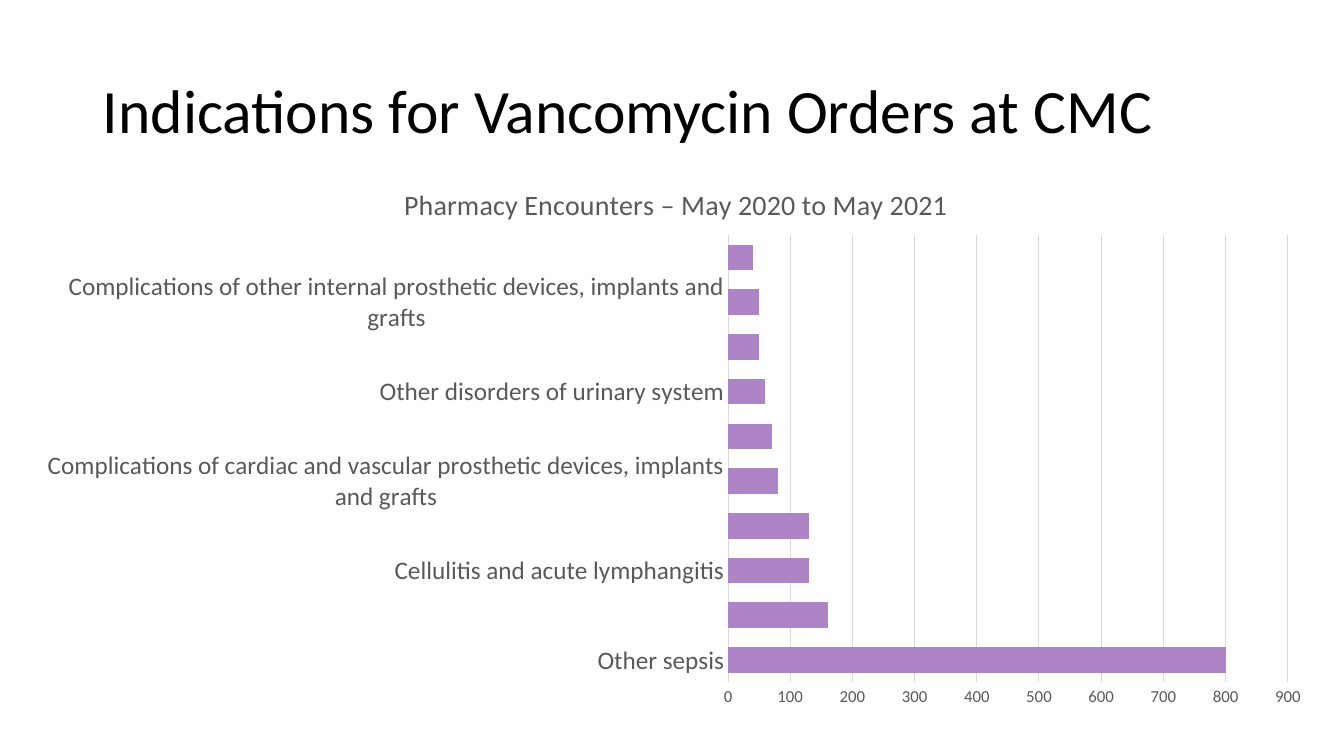
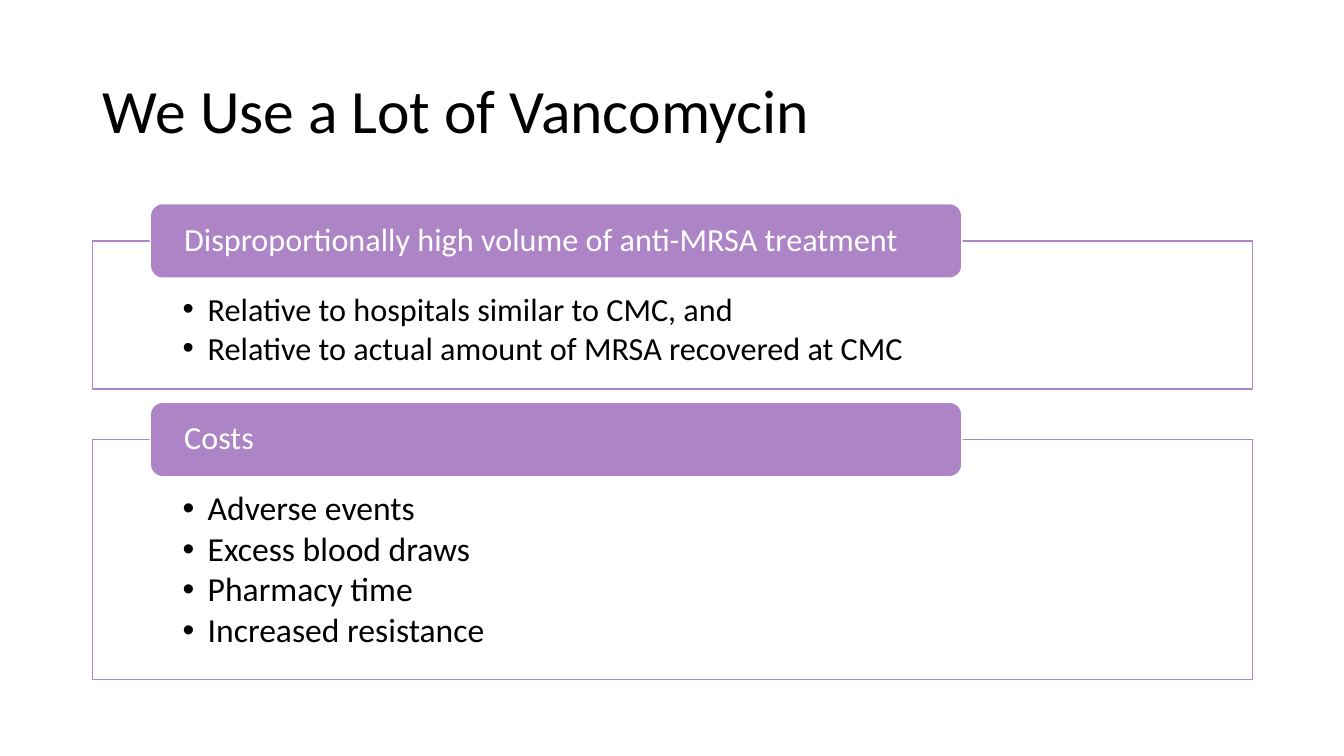
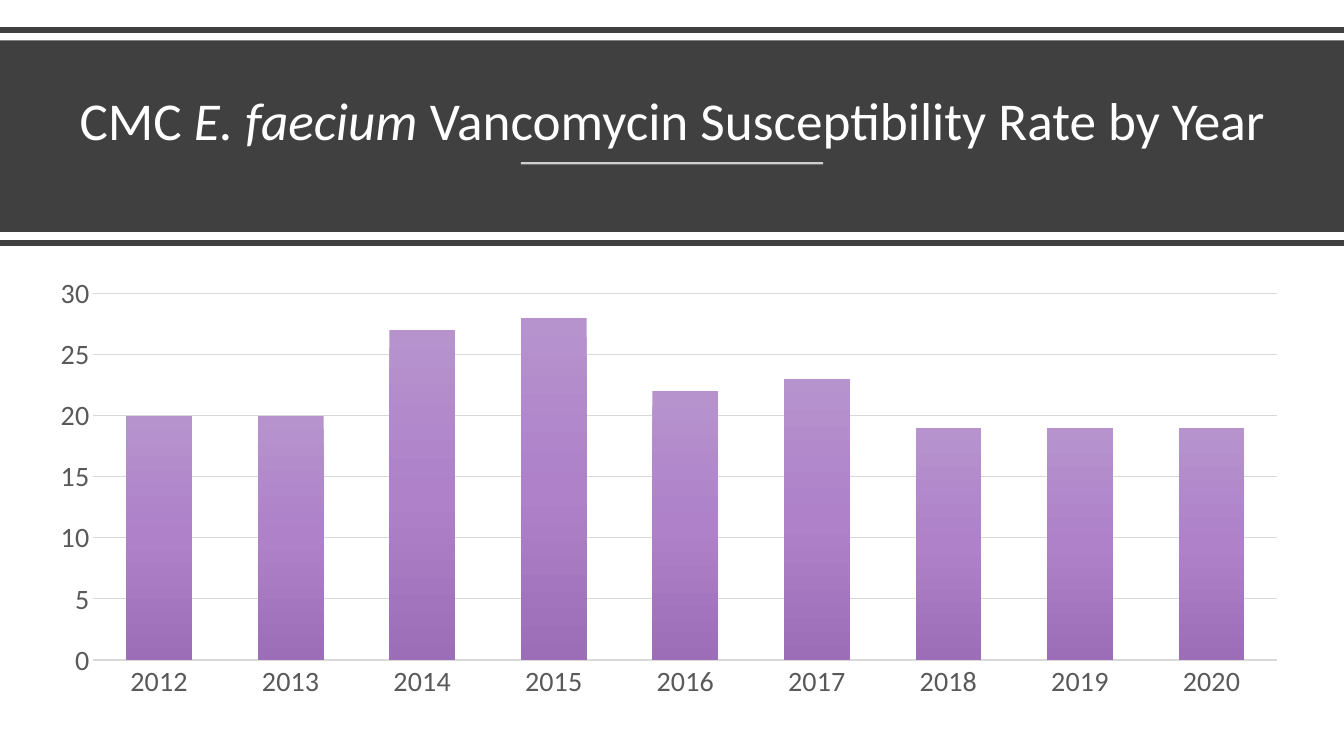
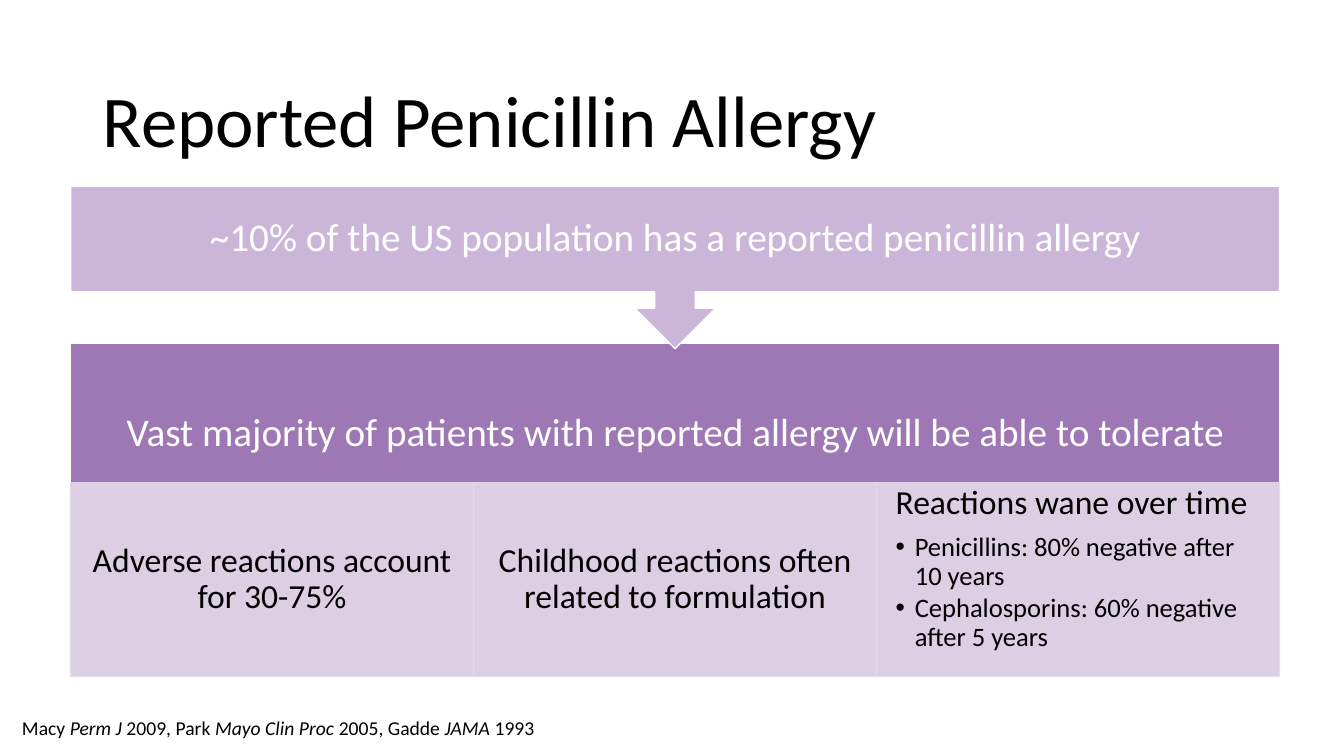
from dataclasses import dataclass

from lxml import etree
from pptx import Presentation
from pptx.chart.data import CategoryChartData
from pptx.dml.color import RGBColor
from pptx.enum.chart import XL_CHART_TYPE, XL_TICK_MARK
from pptx.enum.shapes import MSO_CONNECTOR, MSO_SHAPE
from pptx.enum.text import MSO_ANCHOR, MSO_AUTO_SIZE, PP_ALIGN
from pptx.oxml import parse_xml
from pptx.oxml.ns import nsdecls, qn
from pptx.util import Inches, Pt

LEFT, CENTER = PP_ALIGN.LEFT, PP_ALIGN.CENTER
TOP, MIDDLE, BOTTOM = MSO_ANCHOR.TOP, MSO_ANCHOR.MIDDLE, MSO_ANCHOR.BOTTOM
NO_FIT = MSO_AUTO_SIZE.NONE
RECT, ROUNDED = MSO_SHAPE.RECTANGLE, MSO_SHAPE.ROUNDED_RECTANGLE
CALLOUT = MSO_SHAPE.DOWN_ARROW_CALLOUT
STRAIGHT = MSO_CONNECTOR.STRAIGHT
BARS, COLUMNS = XL_CHART_TYPE.BAR_STACKED, XL_CHART_TYPE.COLUMN_CLUSTERED
NO_TICK = XL_TICK_MARK.NONE
TWO_CONTENT, TITLE_ONLY = 3, 5


@dataclass(frozen=True)
class Theme:
    font: str = "Calibri"
    black: str = "000000"
    white: str = "FFFFFF"
    accent: str = "AD84C6"
    deep: str = "9D78B4"
    soft: str = "CBB6DA"
    pale: str = "E3D9EA"
    band: str = "404040"
    grid: str = "D9D9D9"
    label: str = "595959"
    gradient: tuple = ((0, "B693CD"), (50, "AE81C9"), (100, "9B6EB7"))
    title: int = 44
    band_title: int = 38
    large_title: int = 52
    statement: int = 28
    body: int = 24
    header: int = 23
    detail: int = 19
    axis: int = 20
    chart_title: int = 20
    category: int = 18
    tick: int = 12
    chart: int = 10
    source: int = 14
    line_spacing: float = 0.9


THEME = Theme()
TITLE_BOX = (0.92, 0.4, 11.5, 1.45)


def apply(target, **values):
    for name, value in values.items():
        setattr(target, name, value)


def place(shape, box):
    apply(shape, **dict(zip(("left", "top", "width", "height"), map(Inches, box))))


def style_font(font, size, color):
    apply(font, name=THEME.font, size=Pt(size), bold=False)
    font.color.rgb = RGBColor.from_string(color)


def style_line(line, color, width):
    line.color.rgb = RGBColor.from_string(color)
    line.width = Pt(width)


def style_box(shape, fill, line=None, width=1):
    shape.fill.solid()
    shape.fill.fore_color.rgb = RGBColor.from_string(fill)
    if line:
        style_line(shape.line, line, width)
    else:
        shape.line.fill.background()


def set_opacity(shape, percent):
    for color in shape.element.spPr.iter(qn("a:srgbClr")):
        etree.SubElement(color, qn("a:alpha"), val=str(percent * 1000))


def set_frame(frame, insets=(0.1, 0.05, 0.1, 0.05), anchor=MIDDLE):
    apply(frame, word_wrap=True, auto_size=NO_FIT, vertical_anchor=anchor)
    names = ("margin_left", "margin_top", "margin_right", "margin_bottom")
    apply(frame, **dict(zip(names, map(Inches, insets))))


def write(paragraph, text, size, color=THEME.black, align=LEFT, after=0, bullet=0,
          spacing=THEME.line_spacing):
    if bullet:
        properties = paragraph._p.get_or_add_pPr()
        properties.set("marL", str(Inches(bullet)))
        properties.set("indent", str(-Inches(bullet)))
        etree.SubElement(properties, qn("a:buFont"), typeface="Arial")
        etree.SubElement(properties, qn("a:buChar"), char="•")
    apply(paragraph, alignment=align, line_spacing=spacing,
          space_before=Pt(0), space_after=Pt(after))
    for position, part in enumerate(text.split("|")):
        run = paragraph.add_run()
        run.text = part
        style_font(run.font, size, color)
        if position % 2:
            run.font.italic = True


def write_list(frame, items, size, bullet):
    for position, item in enumerate(items):
        paragraph = frame.add_paragraph() if position or frame.text else frame.paragraphs[0]
        write(paragraph, item, size, after=3, bullet=bullet)


def add_box(slide, kind, box, fill, line=None):
    shape = slide.shapes.add_shape(kind, *map(Inches, box))
    shape.shadow.inherit = False
    style_box(shape, fill, line)
    return shape


def add_text_box(slide, kind, box, fill, line, text, size, color, insets, align=CENTER):
    shape = add_box(slide, kind, box, fill, line)
    set_frame(shape.text_frame, insets)
    write(shape.text_frame.paragraphs[0], text, size, color, align)
    return shape


def add_rule(slide, left, top, width, color, weight):
    rule = slide.shapes.add_connector(
        STRAIGHT, *map(Inches, (left, top, left + width, top)))
    style_line(rule.line, color, weight)
    etree.SubElement(rule.element.spPr, qn("a:effectLst"))
    return rule


def add_slide(deck, title, layout=TITLE_ONLY, box=TITLE_BOX, size=THEME.title,
              color=THEME.black, align=LEFT, anchor=MIDDLE):
    slide = deck.slides.add_slide(deck.slide_layouts[layout])
    heading = slide.shapes.title
    place(heading, box)
    set_frame(heading.text_frame, anchor=anchor)
    write(heading.text_frame.paragraphs[0], title, size, color, align)
    return slide


def add_bar_chart(slide, box, kind, categories, values, gap, overlap, sizes, axis_width):
    data = CategoryChartData()
    data.categories = categories
    data.add_series("Series 1", values)
    chart = slide.shapes.add_chart(kind, *map(Inches, box), data).chart
    apply(chart, has_legend=False, has_title=False)
    style_font(chart.font, THEME.chart, THEME.black)
    for axis, size in zip((chart.category_axis, chart.value_axis), sizes):
        apply(axis, major_tick_mark=NO_TICK, minor_tick_mark=NO_TICK)
        style_font(axis.tick_labels.font, size, THEME.label)
    style_line(chart.category_axis.format.line, THEME.grid, axis_width)
    chart.category_axis.has_major_gridlines = False
    chart.value_axis.format.line.fill.background()
    style_line(chart.value_axis.major_gridlines.format.line, THEME.grid, 0.75)
    apply(chart.plots[0], gap_width=gap, overlap=overlap, vary_by_categories=False)
    return chart


def set_plot_area(chart, **fractions):
    area = chart._chartSpace.chart.plotArea
    for layout in area.findall(qn("c:layout")):
        area.remove(layout)
    modes = "".join(f'<c:{axis}Mode val="edge"/>' for axis in "xy")
    sizes = "".join(f'<c:{name} val="{value}"/>' for name, value in fractions.items())
    area.insert(0, parse_xml(
        f'<c:layout {nsdecls("c")}><c:manualLayout><c:layoutTarget val="inner"/>'
        f'{modes}{sizes}</c:manualLayout></c:layout>'))


def fill_gradient(series):
    stops = "".join(f'<a:gs pos="{position * 1000}"><a:srgbClr val="{color}"/></a:gs>'
                    for position, color in THEME.gradient)
    properties = series._element.get_or_add_spPr()
    properties.insert(0, parse_xml(
        f'<a:gradFill {nsdecls("a")}><a:gsLst>{stops}</a:gsLst>'
        '<a:lin ang="5400000" scaled="0"/></a:gradFill>'))


def build_indications(deck):
    slide = add_slide(deck, "Indications for Vancomycin Orders at CMC")
    labelled = (
        "Other sepsis",
        "Cellulitis and acute lymphangitis",
        "Complications of cardiac and vascular prosthetic devices, implants and grafts",
        "Other disorders of urinary system",
        "Complications of other internal prosthetic devices, implants and grafts",
    )
    indications = [label for name in labelled for label in (name, "")]
    chart = add_bar_chart(slide, (0.25, 1.62, 12.91, 5.48), BARS, indications,
                          [800, 160, 130, 130, 80, 70, 60, 50, 50, 40], 75, 100,
                          (THEME.category, THEME.tick), 0.75)
    write(chart.chart_title.text_frame.paragraphs[0],
          "Pharmacy Encounters – May 2020 to May 2021", THEME.chart_title, THEME.label,
          CENTER, spacing=1)
    chart.chart_title.include_in_layout = False
    set_plot_area(chart, x=0.54, y=0.13, w=0.43, h=0.81)
    fill = chart.plots[0].series[0].format.fill
    fill.solid()
    fill.fore_color.rgb = RGBColor.from_string(THEME.accent)


def add_panel(slide, panel, box, header, items, size):
    left, top, width, height = box
    place(panel, box)
    style_box(panel, THEME.white, THEME.accent)
    set_frame(panel.text_frame, (0.89, 0.52, 0.89, 0.18), TOP)
    write_list(panel.text_frame, items, size, 0.25)
    add_text_box(slide, ROUNDED, (left + 0.57, top - 0.37, width * 0.7, 0.74),
                 THEME.accent, THEME.white, header, THEME.header, THEME.white,
                 (0.3, 0, 0.3, 0), LEFT)


def build_usage(deck):
    slide = add_slide(deck, "We Use a Lot of Vancomycin", TWO_CONTENT)
    volume, costs = list(slide.placeholders)[1:]
    add_panel(slide, volume, (0.92, 2.39, 11.5, 1.47),
              "Disproportionally high volume of anti-MRSA treatment",
              ["Relative to hospitals similar to CMC, and",
               "Relative to actual amount of MRSA recovered at CMC"], THEME.header)
    add_panel(slide, costs, (0.92, 4.36, 11.5, 2.38), "Costs",
              ["Adverse events", "Excess blood draws", "Pharmacy time",
               "Increased resistance"], THEME.body)


def add_title_band(slide, box):
    left, top, width, height = box
    band = add_box(slide, RECT, box, THEME.band)
    slide.shapes.title.element.addprevious(band.element)
    for edge in (top - 0.1, top + height + 0.11):
        add_rule(slide, left, edge, width, THEME.band, 4)
    underline = add_rule(slide, left + (width - 3) / 2, top + 1.22, 3, THEME.white, 1.5)
    set_opacity(underline, 75)


def build_susceptibility(deck):
    slide = add_slide(deck, "CMC |E. faecium |Vancomycin Susceptibility Rate by Year",
                      box=(0.58, 0.54, 12.18, 1.02), size=THEME.band_title,
                      color=THEME.white, align=CENTER, anchor=BOTTOM)
    add_title_band(slide, (0, 0.4, 13.33, 1.9))
    years = [str(year) for year in range(2012, 2021)]
    chart = add_bar_chart(slide, (0.35, 2.65, 12.57, 4.37), COLUMNS, years,
                          [20, 20, 27, 28, 22, 23, 19, 19, 19], 100, -24,
                          (THEME.axis, THEME.axis), 1)
    fill_gradient(chart.plots[0].series[0])


def add_allergy_flow(slide, box):
    left, top, width, height = box
    lower_top, findings_top = top + 1.56, top + 2.94
    bottom = top + height
    add_text_box(slide, RECT, (left, lower_top, width, bottom - lower_top),
                 THEME.deep, THEME.white,
                 "Vast majority of patients with reported allergy will be able to tolerate",
                 THEME.statement, THEME.white, (0.22, 0.22, 0.22, 1.74))
    findings = ("Adverse reactions account for 30-75%",
                "Childhood reactions often related to formulation",
                "Reactions wane over time")
    column = width / len(findings)
    for position, finding in enumerate(findings):
        cell = add_text_box(slide, RECT,
                            (left + position * column, findings_top, column,
                             bottom - findings_top),
                            THEME.pale, THEME.pale, finding, THEME.body, THEME.black,
                            (0.19, 0.03, 0.19, 0.03))
        set_opacity(cell, 90)
    cell.text_frame.vertical_anchor = TOP
    apply(cell.text_frame.paragraphs[0], alignment=LEFT, space_after=Pt(8))
    write_list(cell.text_frame, ["Penicillins: 80% negative after 10 years",
                                 "Cephalosporins: 60% negative after 5 years"],
               THEME.detail, 0.19)
    add_text_box(slide, CALLOUT, (left, top, width, 1.61), THEME.soft, THEME.white,
                 "~10% of the US population has a reported penicillin allergy",
                 THEME.statement, THEME.white, (0.22, 0.22, 0.22, 0.22))


def build_allergy(deck):
    slide = add_slide(deck, "Reported Penicillin Allergy", box=(0.92, 0.61, 11.5, 1.24),
                      size=THEME.large_title)
    add_allergy_flow(slide, (0.7, 1.85, 11.99, 4.86))
    sources = slide.shapes.add_textbox(*map(Inches, (0.12, 7.05, 6.76, 0.34)))
    set_frame(sources.text_frame, anchor=TOP)
    write(sources.text_frame.paragraphs[0],
          "Macy |Perm J| 2009, Park |Mayo Clin Proc |2005, Gadde |JAMA| 1993",
          THEME.source, spacing=1)


def main():
    deck = Presentation()
    apply(deck, slide_width=Inches(13.33), slide_height=Inches(7.5))
    for build in (build_indications, build_usage, build_susceptibility, build_allergy):
        build(deck)
    deck.save("out.pptx")


if __name__ == "__main__":
    main()
